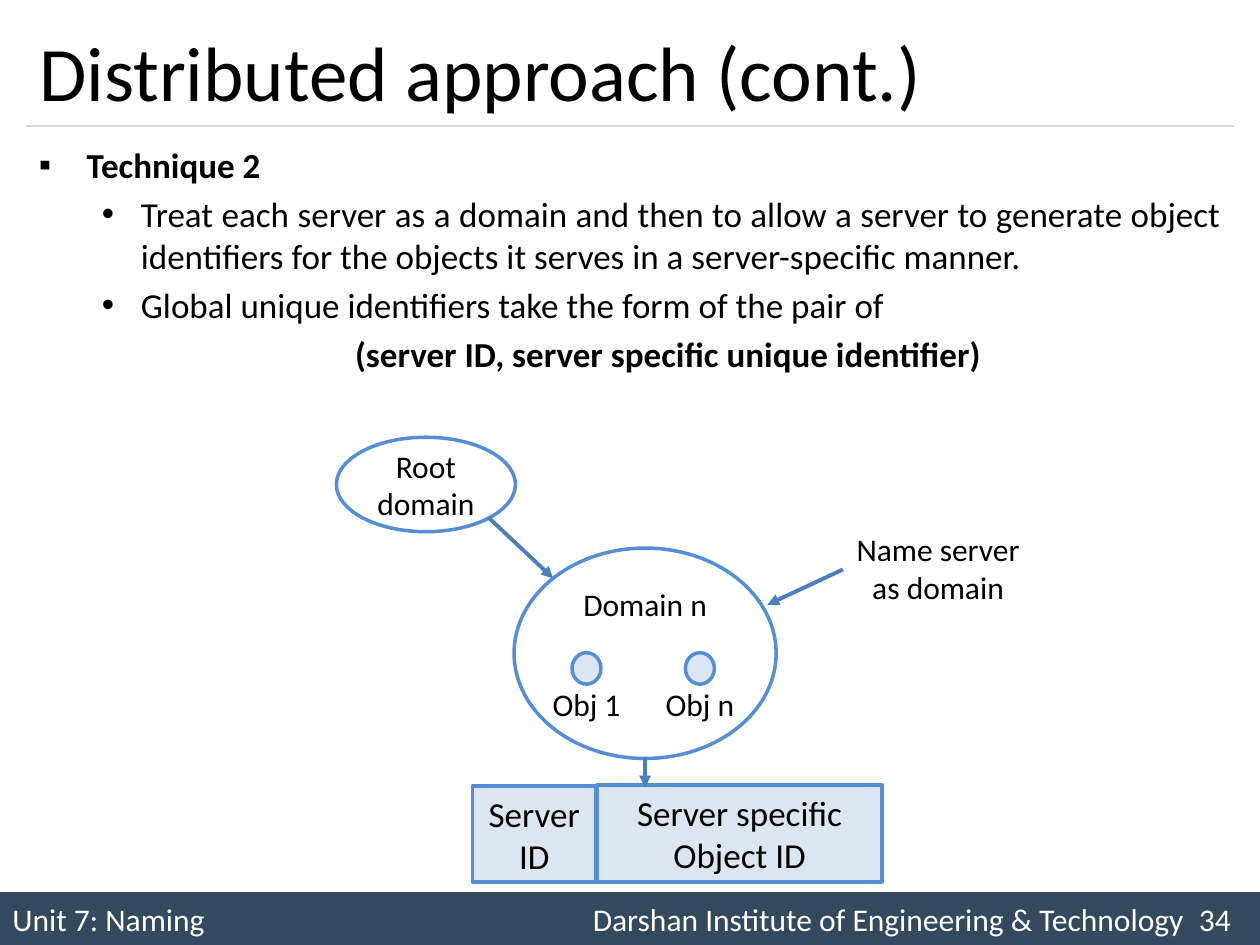
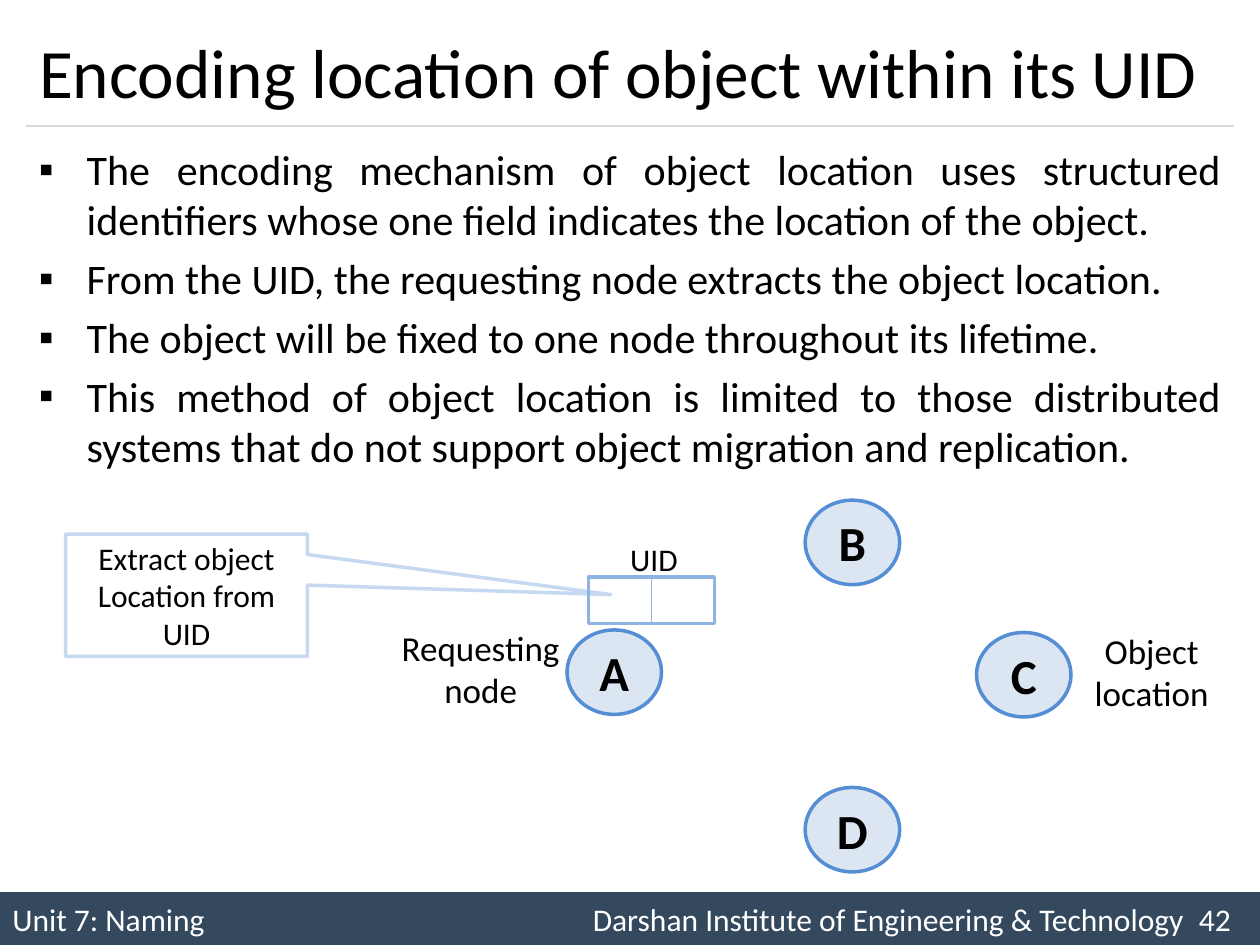
from lxml import etree
from pptx import Presentation
from pptx import util as u
from pptx.dml.color import RGBColor
from pptx.enum import shapes, text
from pptx.oxml.ns import qn

FONT = "Calibri"
BLACK, WHITE, NAVY, RULE = "000000", "FFFFFF", "34495E", "D9D9D9"
PALE, BLUE, ARROW, SKY, MIST = "DCE6F2", "558ED5", "4B7EBC", "8EB4E3", "C6D9F1"
LEFT, CENTER, JUSTIFY = text.PP_ALIGN.LEFT, text.PP_ALIGN.CENTER, text.PP_ALIGN.JUSTIFY
TOP, MIDDLE = text.MSO_ANCHOR.TOP, text.MSO_ANCHOR.MIDDLE
RECT, OVAL = shapes.MSO_SHAPE.RECTANGLE, shapes.MSO_SHAPE.OVAL
CALLOUT = shapes.MSO_SHAPE.RECTANGULAR_CALLOUT

deck = Presentation()
deck.slide_width, deck.slide_height = u.Inches(10), u.Inches(7.5)
CELL = deck.slide_width // 100  # square grid: 100 columns, 75 rows
MARGIN, CONTENT = 2.1, 95.8


def draw(page, kind, at, fill=None, outline=None):
    """Add a shape, or a text box if kind is None; at is in grid cells."""
    frame = [round(value * CELL) for value in at]
    if kind is None:
        return page.shapes.add_textbox(*frame)
    shape = page.shapes.add_shape(kind, *frame)
    shape.shadow.inherit = False
    if fill:
        shape.fill.solid()
        shape.fill.fore_color.rgb = RGBColor.from_string(fill)
    else:
        shape.fill.background()
    if outline:
        shape.line.color.rgb = RGBColor.from_string(outline)
        shape.line.width = u.Pt(2)
    else:
        shape.line.fill.background()
    return shape


def write(shape, lines, size=18, color=BLACK, align=CENTER, anchor=MIDDLE, bold=False, wrap=True):
    frame = shape.text_frame
    frame.text = "\n".join(lines)
    frame.word_wrap = wrap
    frame.vertical_anchor = anchor
    for para in frame.paragraphs:
        para.alignment = align
        for span in para.runs:
            span.font.name, span.font.size, span.font.bold = FONT, u.Pt(size), bold
            span.font.color.rgb = RGBColor.from_string(color)


# Style of a body line: bullet, left margin and first-line indent in cells, bold
POINT = ("▪", 3.8, -3.8, False)
HEADING = ("▪", 3.8, -3.8, True)
SUBPOINT = ("•", 8.1, -3.1, False)
FORMULA = (None, 25.1, 0, True)

contents = [
    ("Distributed approach (cont.)", 44, 34, 20, 22.6, [
        (HEADING, "Technique 2"),
        (SUBPOINT, "Treat each server as a domain and then to allow a server to generate object "
                   "identifiers for the objects it serves in a server-specific manner."),
        (SUBPOINT, "Global unique identifiers take the form of the pair of"),
        (FORMULA, "(server ID, server specific unique identifier)")]),
    ("Encoding location of object within its UID", 39.6, 42, 24, 27.5, [
        (POINT, "The encoding mechanism of object location uses structured identifiers "
                "whose one field indicates the location of the object."),
        (POINT, "From the UID, the requesting node extracts the object location."),
        (POINT, "The object will be fixed to one node throughout its lifetime."),
        (POINT, "This method of object location is limited to those distributed systems "
                "that do not support object migration and replication.")]),
]

pages = []
for heading, heading_size, number, size, height, items in contents:
    page = deck.slides.add_slide(deck.slide_layouts[5])
    pages.append(page)

    title = page.shapes.title
    title.left, title.top = round(MARGIN * CELL), round(1.2 * CELL)
    title.width, title.height = round(CONTENT * CELL), round(8.8 * CELL)
    write(title, [heading], heading_size, align=LEFT)

    band = draw(page, RECT, (0, 70.8, 100, 4.2), NAVY)
    write(band, [f"Unit 7: Naming\tDarshan Institute of Engineering & Technology\t{number}"],
          color=WHITE, align=LEFT)
    tabs = etree.SubElement(band.text_frame.paragraphs[0]._p.get_or_add_pPr(), qn("a:tabLst"))
    for stop in (93, 96.7):
        etree.SubElement(tabs, qn("a:tab"), pos=str(round(stop * CELL)), algn="r")

    body = draw(page, None, (MARGIN, 10.9, CONTENT, height))
    write(body, [line for _, line in items], size, align=JUSTIFY, anchor=TOP)
    for index, (para, (style, _)) in enumerate(zip(body.text_frame.paragraphs, items)):
        bullet, margin, indent, bold = style
        if index:
            para.space_before = u.Pt(size * 0.2)
        properties = para._p.get_or_add_pPr()
        properties.set("marL", str(round(margin * CELL)))
        properties.set("indent", str(round(indent * CELL)))
        if bullet:
            etree.SubElement(properties, qn("a:buFont"), typeface="Arial")
            etree.SubElement(properties, qn("a:buChar"), char=bullet)
        para.runs[0].font.bold = bold

domains, nodes = pages

# Domain tree and the two-part identifier
write(draw(domains, OVAL, (26.7, 34.7, 14.2, 7.5), WHITE, BLUE), ["Root domain"])
write(draw(domains, OVAL, (40.8, 43.5, 20.8, 16.7), WHITE, BLUE), ["Domain n"], anchor=TOP)
for left, name in ((42.8, "Obj 1"), (51.8, "Obj n")):
    draw(domains, OVAL, (left + 2.6, 51.8, 2.3, 2.5), PALE, BLUE)
    write(draw(domains, None, (left, 53.9, 7.5, 4)), [name], anchor=TOP, wrap=False)
write(draw(domains, RECT, (47.4, 62.3, 22.6, 7.7), PALE, BLUE), ["Server specific Object ID"], 20)
write(draw(domains, RECT, (37.5, 62.4, 9.8, 7.6), PALE, BLUE), ["Server ID"], 20)

# Nodes, and the identifier the requesting node reads
for name, left, top in (("A", 45, 50), ("B", 63.9, 39.7), ("C", 77.5, 50.2), ("D", 63.9, 62.5)):
    write(draw(nodes, OVAL, (left, top, 7.5, 6.7), PALE, BLUE), [name], 28, bold=True)
callout = draw(nodes, CALLOUT, (5.2, 42.4, 19.2, 9.7), WHITE, MIST)
callout.adjustments[0], callout.adjustments[1] = 1.754, -0.006
write(callout, ["Extract object", "Location from UID"])
uid_box = draw(nodes, RECT, (46.7, 45.8, 10, 3.7), outline=SKY)

labels = [
    (domains, (66.9, 41.6, 15.1, 7.1), ["Name server", "as domain"], 18),
    (nodes, (85.8, 49.5, 11.2, 7.7), ["Object", "location"], 20),
    (nodes, (30.8, 49.2, 14.7, 7.7), ["Requesting", "node"], 20),
    (nodes, (49, 42.4, 5.8, 4), ["UID"], 18),
]
for page, at, lines, size in labels:
    write(draw(page, None, at), lines, size, anchor=TOP, wrap=False)

# Title rules, arrows and the divider: page, ends, colour, width, arrowhead, box to join
rule = (MARGIN, 10, MARGIN + CONTENT, 10)
links = [
    (domains, rule, RULE, 0.75, False, None),
    (nodes, rule, RULE, 0.75, False, None),
    (domains, (38.8, 41.1, 43.9, 45.9), ARROW, 2.25, True, None),
    (domains, (51.2, 60.1, 51.2, 62.5), ARROW, 2.25, True, None),
    (domains, (66.9, 45.2, 60.9, 48), ARROW, 2.25, True, None),
    (nodes, (51.7, 45.8, 51.7, 49.5), SKY, 0.75, False, uid_box),
]
for page, ends, color, width, arrow, box in links:
    link = page.shapes.add_connector(shapes.MSO_CONNECTOR.STRAIGHT,
                                     *[round(value * CELL) for value in ends])
    link.line.color.rgb = RGBColor.from_string(color)
    link.line.width = u.Pt(width)
    if arrow:
        etree.SubElement(link.line._get_or_add_ln(), qn("a:tailEnd"), type="triangle")
    etree.SubElement(link._element.spPr, qn("a:effectLst"))
    if box:
        link.begin_connect(box, 0)
        link.end_connect(box, 2)

deck.save("out.pptx")
